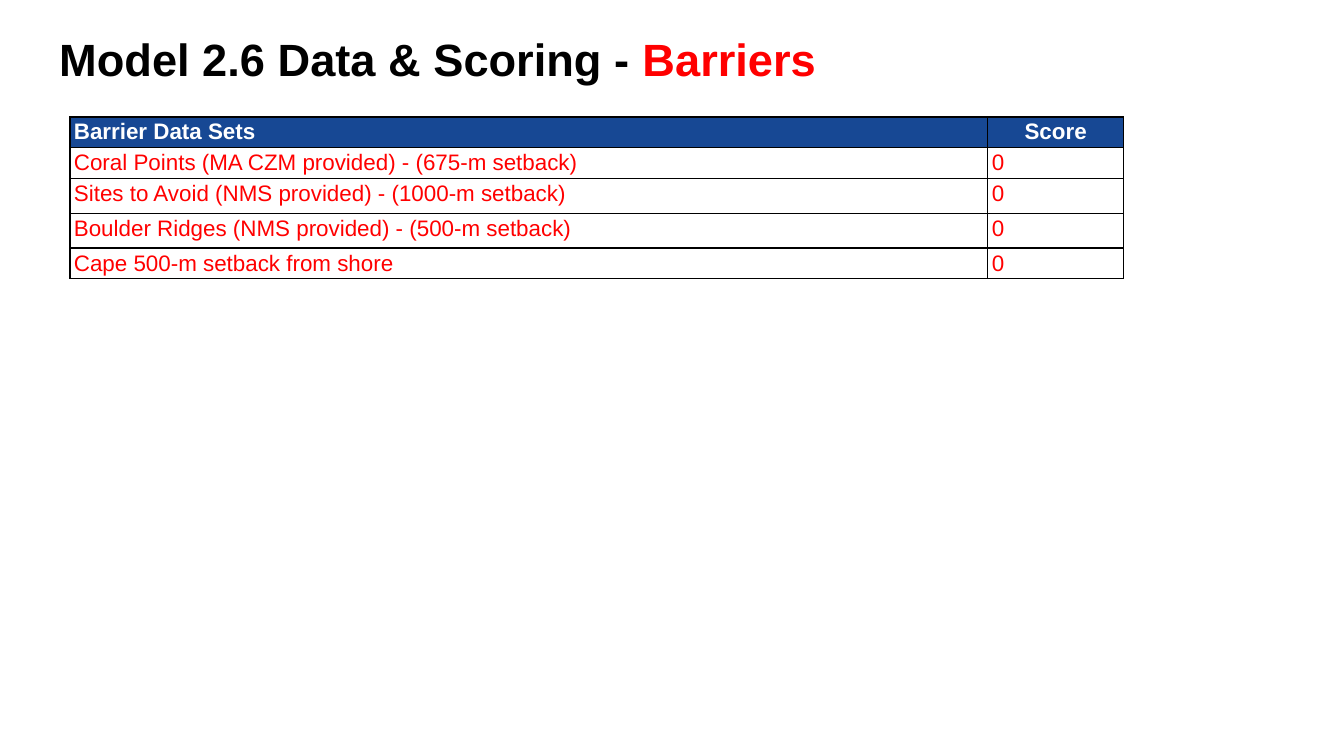
from lxml.etree import SubElement
from pptx import Presentation
from pptx.dml.color import RGBColor
from pptx.enum.text import MSO_ANCHOR as Anchor, MSO_AUTO_SIZE as AutoSize, PP_ALIGN as Align
from pptx.oxml.ns import qn
from pptx.util import Inches, Pt

# Content
TITLE = [("Model 2.6 Data & Scoring - ", "BLACK"), ("Barriers", "RED")]
HEADER = ("Barrier Data Sets", "Score")
BARRIERS = [
    ("Coral Points (MA CZM provided) - (675-m setback)", "0"),
    ("Sites to Avoid (NMS provided) - (1000-m setback)", "0"),
    ("Boulder Ridges (NMS provided) - (500-m setback)", "0"),
    ("Cape 500-m setback from shore", "0"),
]

# Look
COLORS = {
    "BLACK": RGBColor(0, 0, 0),
    "RED": RGBColor(255, 0, 0),
    "WHITE": RGBColor(255, 255, 255),
    "BLUE": RGBColor(0x17, 0x48, 0x94),
}
SLIDE_WIDTH = Inches(10)
SLIDE_HEIGHT = SLIDE_WIDTH * 9 // 16
COLUMN_WIDTHS = [6.83, 1.01]
ROW_HEIGHTS = [0.21, 0.23, 0.26, 0.26, 0.22]
CELL_FORMAT = {
    "margin_left": Inches(0.03), "margin_right": Inches(0.03),
    "margin_top": Inches(0.02), "margin_bottom": Inches(0.02),
    "vertical_anchor": Anchor.TOP,
}


def apply(target, values):
    for name, value in values.items():
        setattr(target, name, value)


def add_span(para, text, color, size, bold):
    span = para.add_run()
    span.text = text
    apply(span.font, {"name": "Arial", "size": Pt(size), "bold": bold})
    span.font.color.rgb = COLORS[color]


def add_borders(cell):
    properties = cell._tc.get_or_add_tcPr()
    for index, side in enumerate(("lnL", "lnR", "lnT", "lnB")):
        line = properties.makeelement(qn(f"a:{side}"), {"w": str(Pt(0.75))})
        fill = SubElement(line, qn("a:solidFill"))
        SubElement(fill, qn("a:srgbClr"), val=str(COLORS["BLACK"]))
        properties.insert(index, line)


deck = Presentation()
apply(deck, {"slide_width": SLIDE_WIDTH, "slide_height": SLIDE_HEIGHT})
page = deck.slides.add_slide(deck.slide_layouts[5])

# Title
title = page.shapes.title
apply(title, {"left": Inches(0.34), "top": Inches(0.12),
              "width": Inches(9.32), "height": Inches(0.63)})
margins = {f"margin_{side}": Inches(0.1) for side in ("left", "right", "top", "bottom")}
apply(title.text_frame, {**margins, "word_wrap": True, "auto_size": AutoSize.NONE,
                         "vertical_anchor": Anchor.MIDDLE})
para = title.text_frame.paragraphs[0]
para.alignment = Align.LEFT
for text, color in TITLE:
    add_span(para, text, color, 24.2, True)

# Barrier table
rows = [HEADER, *BARRIERS]
table = page.shapes.add_table(
    len(rows), len(HEADER), Inches(0.52), Inches(0.87),
    Inches(sum(COLUMN_WIDTHS)), Inches(sum(ROW_HEIGHTS))).table
table.horz_banding = False
for column, width in zip(table.columns, COLUMN_WIDTHS):
    column.width = Inches(width)
for row, height in zip(table.rows, ROW_HEIGHTS):
    row.height = Inches(height)

for r, values in enumerate(rows):
    is_header = r == 0
    for c, text in enumerate(values):
        cell = table.cell(r, c)
        apply(cell, CELL_FORMAT)
        if is_header:
            cell.fill.solid()
            cell.fill.fore_color.rgb = COLORS["BLUE"]
        else:
            cell.fill.background()
        add_borders(cell)
        para = cell.text_frame.paragraphs[0]
        para.alignment = Align.CENTER if is_header and c == 1 else Align.LEFT
        add_span(para, text, "WHITE" if is_header else "RED", 12, is_header)

deck.save("out.pptx")
